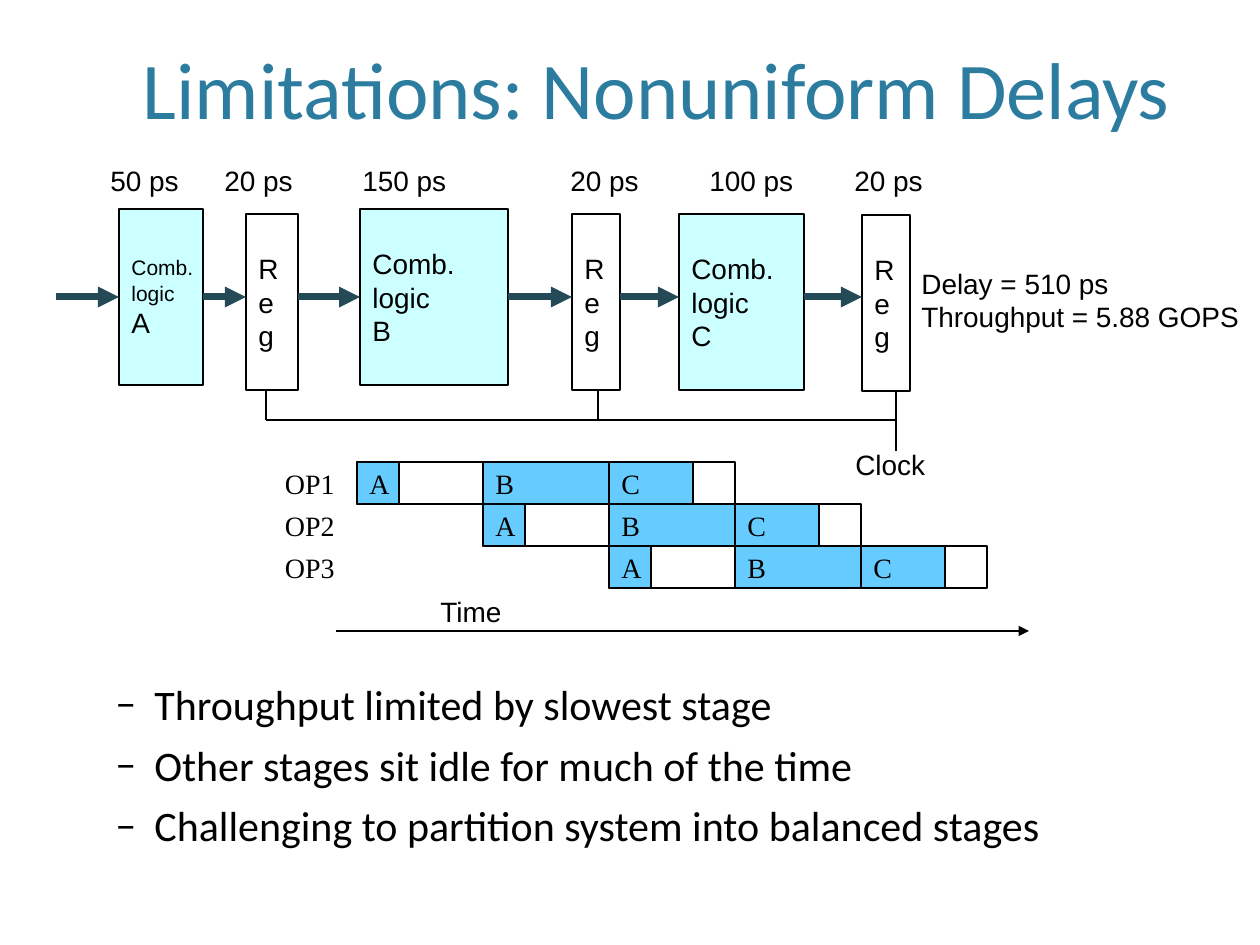
from lxml.etree import SubElement
from pptx import Presentation
from pptx.dml.color import RGBColor
from pptx.enum.shapes import MSO_CONNECTOR as Conn, MSO_SHAPE as Kind
from pptx.enum.text import MSO_ANCHOR as Anchor, PP_ALIGN as Align
from pptx.oxml.ns import qn
from pptx.util import Pt

PX = 914400 // 126
BLACK, WHITE, TEAL, STEEL = "000000", "FFFFFF", "2C7C9F", "244A58"
MINT, SKY = "CCFFFF", "66CCFF"
SERIF = "Times New Roman"
color = RGBColor.from_string

deck = Presentation()
deck.slide_width, deck.slide_height = 1260 * PX, 945 * PX
slide = deck.slides.add_slide(deck.slide_layouts[6])
shapes = slide.shapes


def box(x, y, w, h, lines=(), fill=None, edge=0, font="Arial", size=16,
        ink=BLACK, align=Align.LEFT):
    place = [v * PX for v in (x, y, w, h)]
    if fill or edge:
        shape = shapes.add_shape(Kind.RECTANGLE, *place)
        shape.shadow.inherit = False
        if fill:
            shape.fill.solid()
            shape.fill.fore_color.rgb = color(fill)
        else:
            shape.fill.background()
        if edge:
            shape.line.color.rgb = color(BLACK)
            shape.line.width = Pt(edge)
        else:
            shape.line.fill.background()
    else:
        shape = shapes.add_textbox(*place)
    frame = shape.text_frame
    frame.word_wrap = not fill
    frame.vertical_anchor = Anchor.MIDDLE if fill else Anchor.TOP
    for i, text in enumerate(lines):
        para = frame.add_paragraph() if i else frame.paragraphs[0]
        para.alignment = align
        run = para.add_run()
        run.text = text
        run.font.name, run.font.size = font, Pt(size)
        run.font.color.rgb = color(ink)
    return shape


def wire(x1, y1, x2, y2, ink=BLACK, width=1, head=False):
    line = shapes.add_connector(Conn.STRAIGHT, x1 * PX, y1 * PX, x2 * PX, y2 * PX)
    line.line.color.rgb = color(ink)
    line.line.width = Pt(width)
    if head:
        SubElement(line.line._get_or_add_ln(), qn("a:tailEnd"), type="triangle")
    SubElement(line._element.spPr, qn("a:effectLst"))
    return line


# Title
title = box(56, 29, 1200, 107, ["Limitations: Nonuniform Delays"], font="Calibri",
            size=46, ink=TEAL, align=Align.CENTER).text_frame
title.vertical_anchor = Anchor.BOTTOM
title.margin_left = title.margin_right = title.margin_top = title.margin_bottom = 0

# Pipeline stages
logic = ["Comb.", "logic"]
stage_a = box(119, 209, 84, 176, logic + ["A"], MINT, 1, size=12)
stage_a.text_frame.paragraphs[2].runs[0].font.size = Pt(16)
stage_b = box(360, 209, 148, 176, logic + ["B"], MINT, 1)
box(679, 214, 125, 176, logic + ["C"], MINT, 1)
for x, y, w in (246, 214, 52), (572, 214, 48), (862, 215, 48):
    box(x, y, w, 176, "Reg", WHITE, 1)

# Data flow
flow = [wire(x1, 297, x2, 297, STEEL, 4, True) for x1, x2 in
        ((56, 119), (203, 246), (298, 360), (508, 572), (620, 679), (804, 862))]
flow[0].end_connect(stage_a, 1)
flow[1].begin_connect(stage_a, 3)
flow[2].end_connect(stage_b, 1)
flow[3].begin_connect(stage_b, 3)

# Clock lines
for x, top, end in (266, 390, 420), (598, 390, 420), (896, 391, 451):
    wire(x, top, x, end)
wire(266, 420, 896, 420)
box(843, 441, 105, 45, ["Clock"])

# Stage delays
for x, w, text in ((98, 105, "50 ps"), (212, 105, "20 ps"), (350, 161, "150 ps"),
                   (558, 105, "20 ps"), (697, 120, "100 ps"), (842, 105, "20 ps")):
    box(x, 157, w, 45, [text])
box(909, 260, 350, 79, ["Delay = 510 ps", "Throughput = 5.88 GOPS"])

# Timing chart: each operation starts one slot later
slot, row = 126, 42
for i in range(3):
    x, y = 357 + i * slot, 462 + i * row
    box(231, y, 116, row, [f"OP{i + 1}"], WHITE, font=SERIF, align=Align.RIGHT)
    for j, (name, w) in enumerate((("A", 42), ("B", 126), ("C", 84))):
        box(x + j * slot, y, w, row, [name], SKY, 0.75, SERIF)
    for j in (0, 2):
        box(x + j * slot, y, slot, row, edge=0.75)
wire(336, 631, 1029, 631, head=True)
box(428, 588, 100, 45, ["Time"])

# Conclusions
notes = box(40, 672, 1143, 214, ["Throughput limited by slowest stage",
                                 "Other stages sit idle for much of the time",
                                 "Challenging to partition system into balanced stages"],
            font="Calibri", size=24)
for i, para in enumerate(notes.text_frame.paragraphs):
    para.space_before = Pt(6 if i else 0)
    props = para._p.get_or_add_pPr()
    props.set("marL", str(102 * PX))
    props.set("indent", str(-39 * PX))
    SubElement(props, qn("a:buFont"), typeface="Calibri")
    SubElement(props, qn("a:buChar"), char="–")

deck.save("out.pptx")
